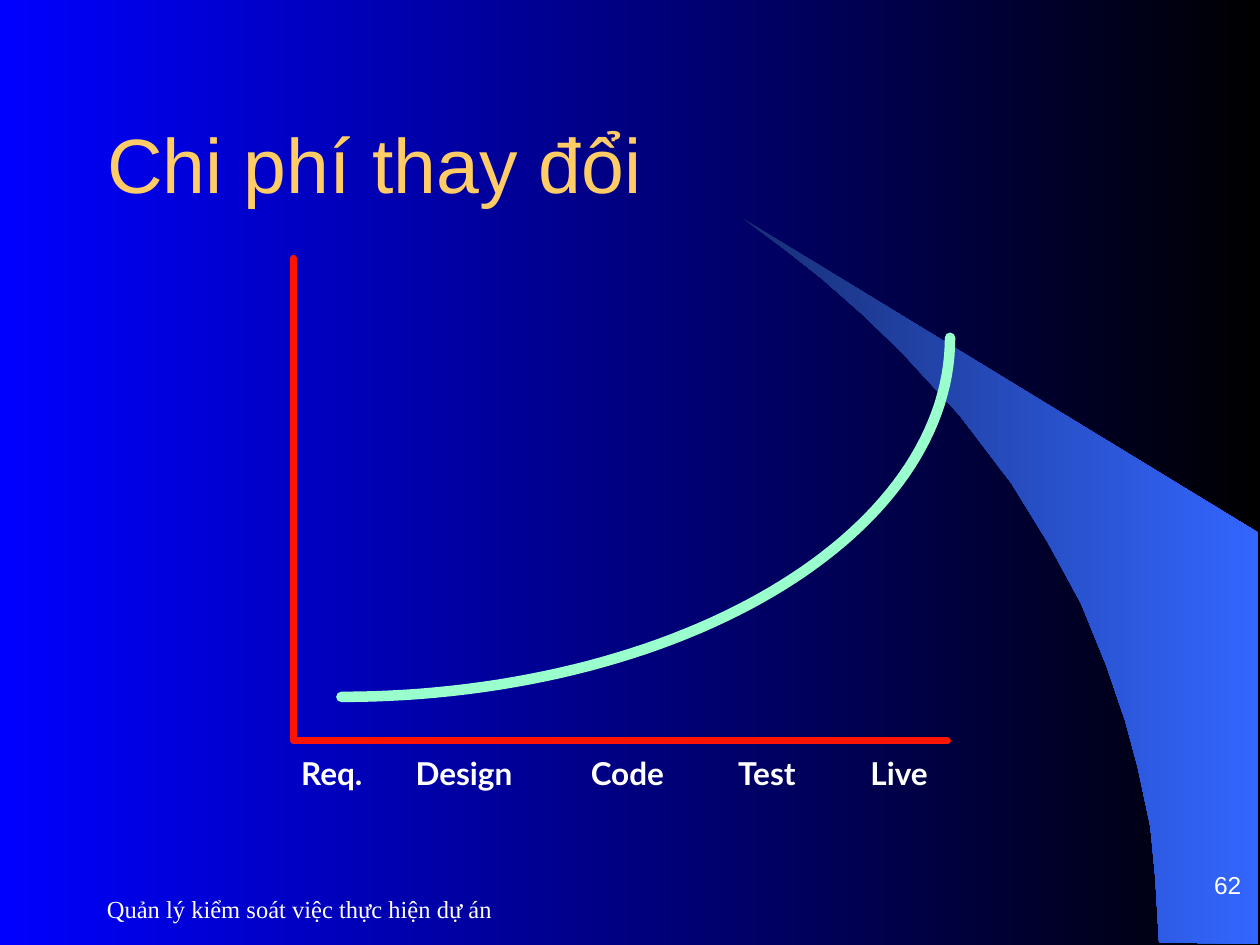
from dataclasses import dataclass
from math import cos, pi, sin

from pptx import Presentation
from pptx.dml.color import RGBColor
from pptx.dml.fill import FillFormat
from pptx.enum.text import MSO_ANCHOR, PP_ALIGN
from pptx.oxml.ns import qn
from pptx.shapes.freeform import FreeformBuilder
from pptx.slide import Slide
from pptx.util import Pt
from lxml.etree import SubElement

COLORS = {
    "blue": "0000FF",
    "black": "000000",
    "wedge_dark": "182F76",
    "wedge_light": "3366FF",
    "title": "FFCC66",
    "text": "FFFFFF",
    "axes": "FF1301",
    "curve": "99FFCC",
}

Point = tuple[float, float]


@dataclass
class Label:
    text: str
    left: float
    top: float
    width: float
    height: float
    font: str = "Lato"
    size: float = 18
    bold: bool = False
    align: PP_ALIGN = PP_ALIGN.LEFT
    anchor: MSO_ANCHOR = MSO_ANCHOR.TOP
    margin_y: float = 3.6
    line_spacing: float = 1.0
    wrap: bool = True


def color(name: str) -> RGBColor:
    return RGBColor.from_string(COLORS[name])


def fill_gradient(fill: FillFormat, start: str, end: str) -> None:
    fill.gradient()
    fill.gradient_angle = 0
    for stop, name in zip(fill.gradient_stops, (start, end)):
        stop.color.rgb = color(name)


def outline(slide: Slide, points: list[Point], close: bool) -> FreeformBuilder:
    (x, y), *rest = points
    builder = slide.shapes.build_freeform(Pt(x), Pt(y))
    builder.add_line_segments([(Pt(px), Pt(py)) for px, py in rest], close=close)
    return builder


def draw_stroke(slide: Slide, points: list[Point], name: str, width: float) -> None:
    stroke = outline(slide, points, close=False).convert_to_shape()
    stroke.shadow.inherit = False
    stroke.fill.background()
    stroke.line.color.rgb = color(name)
    stroke.line.width = Pt(width)
    # Round ends and corners
    ln = stroke.element.spPr.find(qn("a:ln"))
    ln.set("cap", "rnd")
    SubElement(ln, qn("a:round"))


def draw_label(slide: Slide, label: Label) -> None:
    box = slide.shapes.add_textbox(
        Pt(label.left), Pt(label.top), Pt(label.width), Pt(label.height))
    frame = box.text_frame
    frame.word_wrap = label.wrap
    frame.vertical_anchor = label.anchor
    frame.margin_top = frame.margin_bottom = Pt(label.margin_y)
    paragraph = frame.paragraphs[0]
    paragraph.text = label.text
    paragraph.alignment = label.align
    paragraph.line_spacing = label.line_spacing
    paragraph.font.name = label.font
    paragraph.font.size = Pt(label.size)
    paragraph.font.bold = label.bold
    paragraph.font.color.rgb = color("text")


def main() -> None:
    presentation = Presentation()
    presentation.slide_width, presentation.slide_height = Pt(720), Pt(540)
    slide = presentation.slides.add_slide(presentation.slide_layouts[5])

    # Background with the curved wedge
    fill_gradient(slide.background.fill, "blue", "black")
    wedge_points = [
        (662.4, 538.6), (719.3, 539.3), (719.3, 304.6), (424.1, 124.6),
        (449.3, 143.3), (470.2, 159.8), (493.2, 180), (515.5, 201.6),
        (548.6, 237.6), (578.2, 276.5), (599, 310.3), (617.8, 344.9),
        (632.2, 380.2), (643, 411.8), (650.2, 438.5), (657.4, 472.3),
        (660.2, 501.1),
    ]
    wedge = outline(slide, wedge_points, close=True).convert_to_shape()
    wedge.shadow.inherit = False
    wedge.line.fill.background()
    fill_gradient(wedge.fill, "wedge_dark", "wedge_light")

    # Title
    title = slide.shapes.title
    title.left, title.top, title.width, title.height = Pt(54), Pt(48), Pt(636.5), Pt(90)
    title.text_frame.vertical_anchor = MSO_ANCHOR.MIDDLE
    heading = title.text_frame.paragraphs[0]
    heading.text = "Chi phí thay đổi"
    heading.alignment = PP_ALIGN.LEFT
    heading.font.name = "Arial"
    heading.font.size = Pt(44)
    heading.font.color.rgb = color("title")

    # Axes
    draw_stroke(slide, [(167.8, 147.6), (167.8, 423.4), (541.4, 423.4)], "axes", 4)

    # Cost curve: a quarter of an ellipse
    center_x, center_y, radius_x, radius_y = 195.1, 193, 347.8, 205.2
    steps = 60
    angles = [pi / 2 * step / steps for step in range(steps + 1)]
    cost_curve = [(center_x + radius_x * cos(a), center_y + radius_y * sin(a))
                  for a in angles]
    draw_stroke(slide, cost_curve, "curve", 6)

    # Project phases under the horizontal axis
    phases = [("Req.", 165, 53.3), ("Design", 230.4, 75.6), ("Code", 330.5, 59),
              ("Test", 414.7, 51.8), ("Live", 490.3, 51.1)]
    for phase, left, width in phases:
        draw_label(slide, Label(phase, left, 429.8, width, 26.6, bold=True,
                                line_spacing=0.9, wrap=False))

    # Footer and page number
    draw_label(slide, Label("Quản lý kiểm soát việc thực hiện dự án", 54, 501.1, 336.2, 36,
                            font="Times New Roman", size=14, anchor=MSO_ANCHOR.MIDDLE))
    draw_label(slide, Label("62", 566.6, 483.8, 149.8, 30.2, font="Arial", size=14,
                            align=PP_ALIGN.RIGHT, anchor=MSO_ANCHOR.BOTTOM, margin_y=0))

    presentation.save("out.pptx")


if __name__ == "__main__":
    main()
